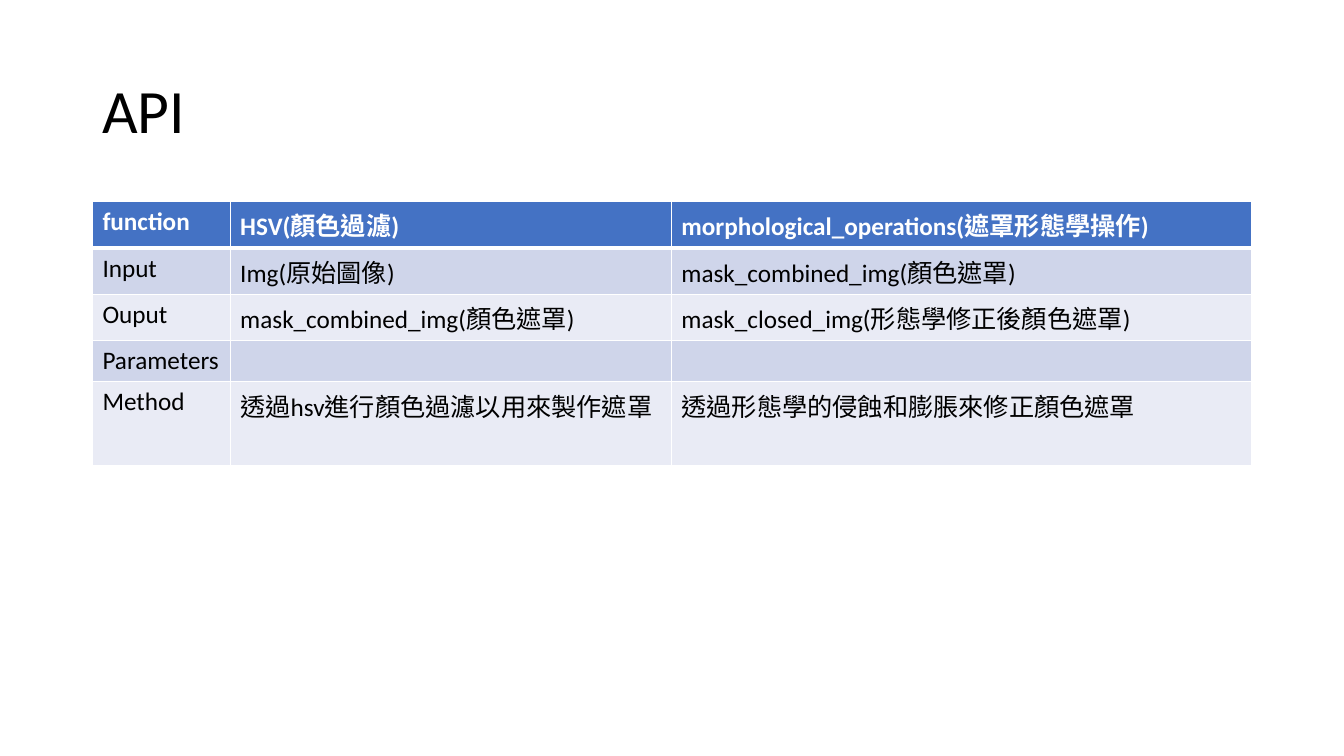
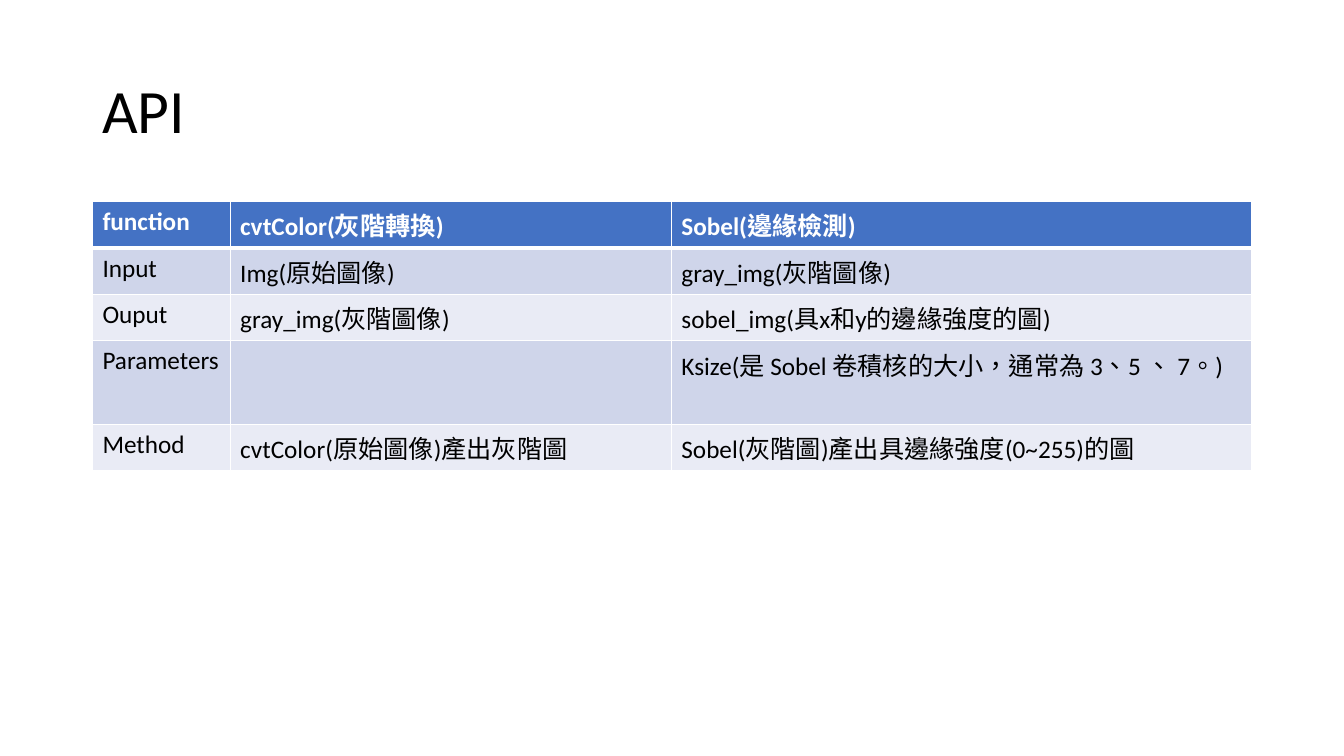
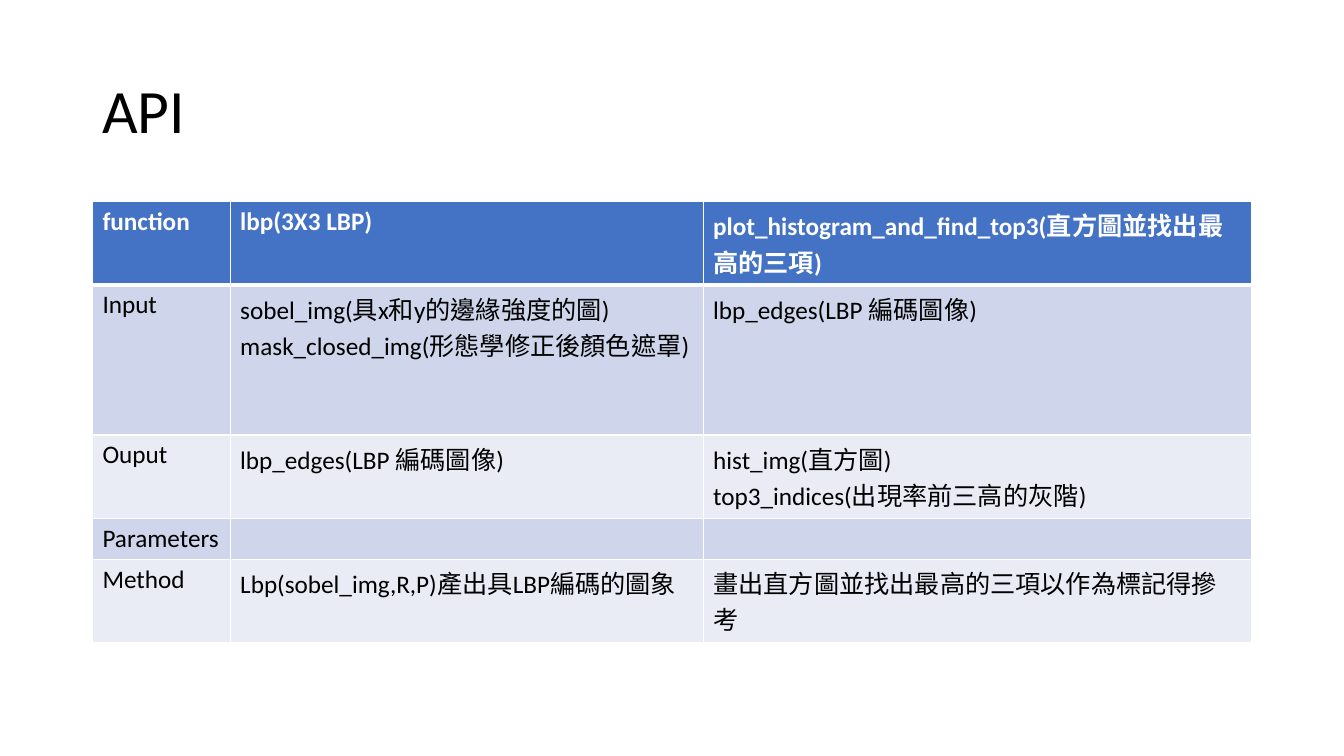
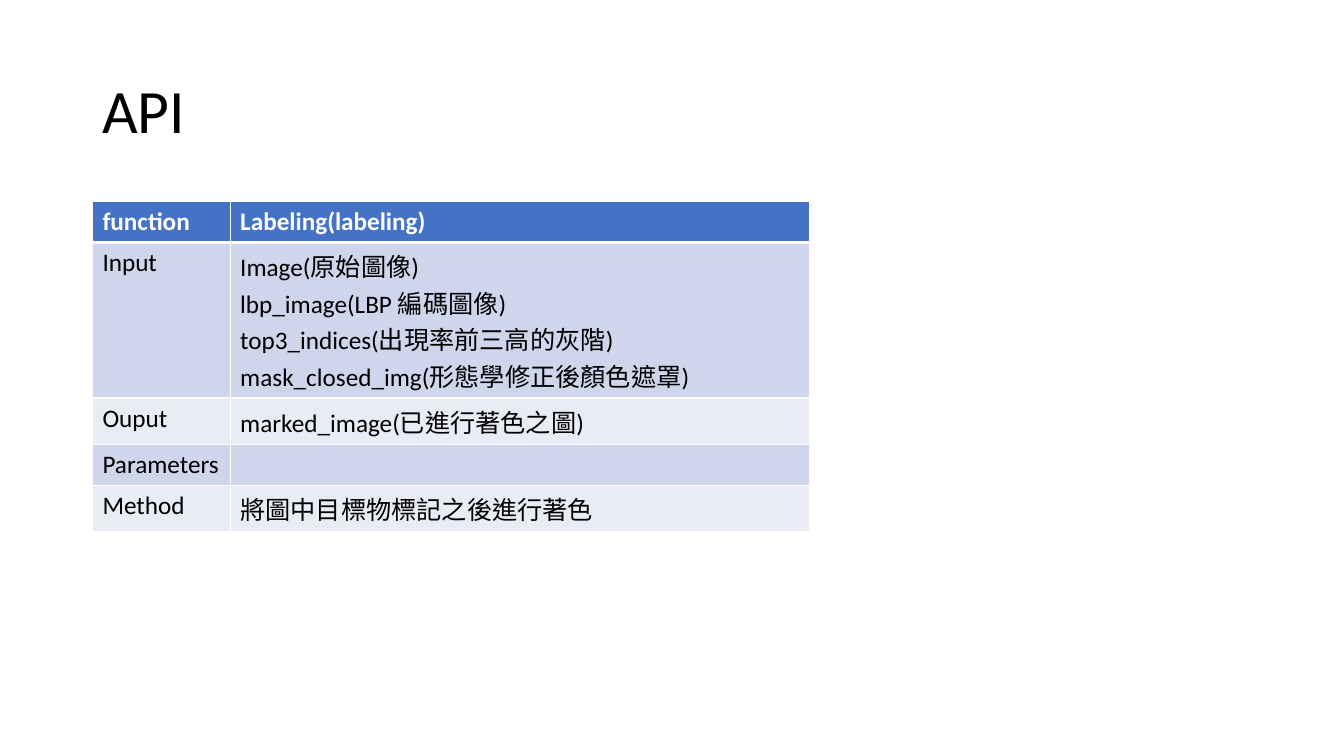
import pptx
import pptx.dml.color
import pptx.enum.lang
import pptx.enum.text
import pptx.oxml.ns
import pptx.util
from lxml import etree

Cm = pptx.util.Cm
Pt = pptx.util.Pt
RGB = pptx.dml.color.RGBColor

WHITE = RGB(0xFF, 0xFF, 0xFF)
BLACK = RGB(0x00, 0x00, 0x00)
BLUE = RGB(0x44, 0x72, 0xC4)
DARK = RGB(0xCF, 0xD5, 0xEA)
LIGHT = RGB(0xE9, 0xEB, 0xF5)
FONT = "Calibri"
LANG = pptx.enum.lang.MSO_LANGUAGE_ID.TRADITIONAL_CHINESE

LEFT = 2.33
WIDTH = 29.21
LABELS = ["function", "Input", "Ouput", "Parameters", "Method"]
LABEL_W = 3.47

# Row heights: Latin text only, one Chinese line, two Chinese lines.
LOW, ONE, TWO = 1.03, 1.17, 2.1

# Each slide: column widths, row heights, one list per function.
# A line break inside an entry starts a new paragraph.
SLIDES = [
    ([11.12, 14.62], [ONE, ONE, ONE, LOW, TWO], [
        ["HSV(顏色過濾)", "Img(原始圖像)", "mask_combined_img(顏色遮罩)", "",
         "透過hsv進行顏色過濾以用來製作遮罩"],
        ["morphological_operations(遮罩形態學操作)",
         "mask_combined_img(顏色遮罩)",
         "mask_closed_img(形態學修正後顏色遮罩)", "",
         "透過形態學的侵蝕和膨脹來修正顏色遮罩"],
    ]),
    ([11.12, 14.62], [ONE, ONE, ONE, TWO, ONE], [
        ["cvtColor(灰階轉換)", "Img(原始圖像)", "gray_img(灰階圖像)", "",
         "cvtColor(原始圖像)產出灰階圖"],
        ["Sobel(邊緣檢測)", "gray_img(灰階圖像)",
         "sobel_img(具x和y的邊緣強度的圖)",
         "Ksize(是 Sobel 卷積核的大小，通常為 3、5 、 7。)",
         "Sobel(灰階圖)產出具邊緣強度(0~255)的圖"],
    ]),
    ([11.92, 13.82], [TWO, 3.78, TWO, LOW, TWO], [
        ["lbp(3X3 LBP)",
         "sobel_img(具x和y的邊緣強度的圖)\n"
         "mask_closed_img(形態學修正後顏色遮罩)",
         "lbp_edges(LBP 編碼圖像)", "",
         "Lbp(sobel_img,R,P)產出具LBP編碼的圖象"],
        ["plot_histogram_and_find_top3(直方圖並找出最高的三項)",
         "lbp_edges(LBP 編碼圖像)",
         "hist_img(直方圖)\ntop3_indices(出現率前三高的灰階)", "",
         "畫出直方圖並找出最高的三項以作為標記得摻考"],
    ]),
    ([14.6], [LOW, 3.92, ONE, LOW, ONE], [
        ["Labeling(labeling)",
         "Image(原始圖像)\nlbp_image(LBP 編碼圖像)\n"
         "top3_indices(出現率前三高的灰階)\n"
         "mask_closed_img(形態學修正後顏色遮罩)",
         "marked_image(已進行著色之圖)", "",
         "將圖中目標物標記之後進行著色"],
    ]),
]


def style(para, size, color, bold=False):
    font = para.font
    font.name = FONT
    font.size = Pt(size)
    font.bold = bold
    font.color.rgb = color
    for run in para.runs:
        run.font.language_id = LANG


def add_title(slide, text):
    box = slide.shapes.add_textbox(Cm(LEFT), Cm(1.01), Cm(WIDTH), Cm(3.68))
    frame = box.text_frame
    frame.word_wrap = True
    frame.vertical_anchor = pptx.enum.text.MSO_ANCHOR.MIDDLE
    frame.text = text
    para = frame.paragraphs[0]
    para.line_spacing = 0.9
    style(para, 44, BLACK)


def add_edges(cell, top, bottom):
    """Draw white cell borders; widths are in points."""
    qn = pptx.oxml.ns.qn
    props = cell._tc.get_or_add_tcPr()
    for side, width in zip("LRTB", (1, 1, top, bottom)):
        line = etree.SubElement(props, qn("a:ln" + side), w=str(Pt(width)))
        fill = etree.SubElement(line, qn("a:solidFill"))
        etree.SubElement(fill, qn("a:srgbClr"), val=str(WHITE))


def fill_cell(cell, text, row):
    head = row == 0
    add_edges(cell, 3 if row == 1 else 1, 3 if head else 1)
    cell.fill.solid()
    cell.fill.fore_color.rgb = BLUE if head else DARK if row % 2 else LIGHT
    cell.text = text
    for para in cell.text_frame.paragraphs:
        style(para, 18, WHITE if head else BLACK, head)


def add_grid(slide, widths, heights, columns):
    widths = [LABEL_W] + widths
    columns = [LABELS] + columns
    table = slide.shapes.add_table(
        len(heights), len(widths), Cm(LEFT), Cm(5.08),
        Cm(sum(widths)), Cm(sum(heights))).table
    table.horz_banding = False
    for row, height in zip(table.rows, heights):
        row.height = Cm(height)
    for col, (width, texts) in enumerate(zip(widths, columns)):
        table.columns[col].width = Cm(width)
        for row, text in enumerate(texts):
            fill_cell(table.cell(row, col), text, row)


def main():
    deck = pptx.Presentation()
    deck.slide_width = Cm(33.87)
    deck.slide_height = Cm(19.05)
    blank = deck.slide_layouts[6]
    for widths, heights, columns in SLIDES:
        slide = deck.slides.add_slide(blank)
        add_title(slide, "API")
        add_grid(slide, widths, heights, columns)
    deck.save("out.pptx")


if __name__ == "__main__":
    main()
